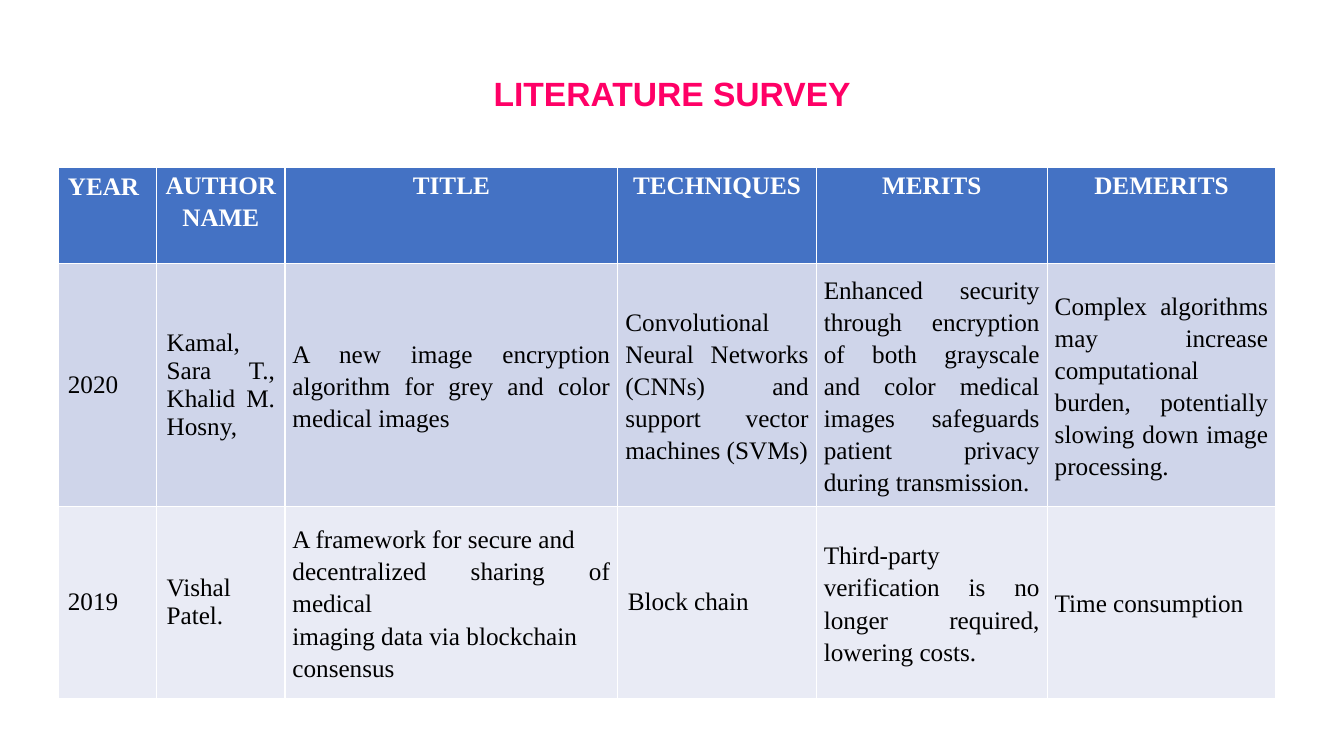
from dataclasses import dataclass

from pptx import Presentation
from pptx.dml.color import RGBColor
from pptx.enum.text import MSO_ANCHOR as Anchor, PP_ALIGN as Align
from pptx.slide import Slide
from pptx.table import _Cell as TableCell
from pptx.text.text import _Paragraph as Para
from pptx.util import Cm, Pt


@dataclass(frozen=True)
class Theme:
    title_font: str = "Arial"
    table_font: str = "Times New Roman"
    title_size: int = 24
    table_size: int = 18
    title_color: str = "FF0066"
    header_text: str = "FFFFFF"
    body_text: str = "000000"
    header_fill: str = "4472C4"
    row_fills: tuple[str, ...] = ("CFD5EA", "E9EBF5")


@dataclass(frozen=True)
class Entry:
    """Cell text; a roomy entry has wide margins and single line spacing."""
    text: str
    roomy: bool = False
    space_after: int = 0


@dataclass(frozen=True)
class RowStyle:
    fill: str
    color: str
    bold: bool
    anchor: Anchor
    align: Align
    roomy_align: Align


THEME = Theme()
COLUMN_WIDTHS = (2.49, 3.23, 8.39, 5.0, 5.82, 5.76)
ROW_HEIGHTS = (2.41, 5.81, 4.83)

HEADER = (
    Entry("YEAR", roomy=True),
    *(Entry(name, space_after=10) for name in
      ("AUTHOR NAME", "TITLE", "TECHNIQUES", "MERITS", "DEMERITS")),
)
PAPERS = (
    (
        Entry("2020", roomy=True),
        Entry("Kamal, Sara T., Khalid M. Hosny,", roomy=True),
        Entry("A new image encryption algorithm for grey and color medical images"),
        Entry("Convolutional Neural Networks (CNNs) and support vector machines (SVMs)"),
        Entry("Enhanced security through encryption of both grayscale and color "
              "medical images safeguards patient privacy during transmission."),
        Entry("Complex algorithms may increase computational burden, "
              "potentially slowing down image processing.", space_after=10),
    ),
    (
        Entry("2019", roomy=True),
        Entry("Vishal Patel.", roomy=True),
        Entry("A framework for secure and\ndecentralized sharing of medical\n"
              "imaging data via blockchain\nconsensus"),
        Entry("Block chain", roomy=True),
        Entry("Third-party verification is no longer required, lowering costs."),
        Entry("Time consumption", space_after=10),
    ),
)


def set_font(para: Para, name: str, size: int, color: str, bold: bool) -> None:
    para.font.name = name
    para.font.size = Pt(size)
    para.font.bold = bold
    para.font.color.rgb = RGBColor.from_string(color)


def add_title(slide: Slide, text: str) -> None:
    box = slide.shapes.add_textbox(Cm(5.51), Cm(0.76), Cm(22.86), Cm(3.18))
    frame = box.text_frame
    frame.word_wrap = True
    frame.vertical_anchor = Anchor.MIDDLE
    para = frame.paragraphs[0]
    para.text = text
    para.alignment = Align.CENTER
    set_font(para, THEME.title_font, THEME.title_size, THEME.title_color, True)


def fill_cell(cell: TableCell, entry: Entry, style: RowStyle) -> None:
    cell.fill.solid()
    cell.fill.fore_color.rgb = RGBColor.from_string(style.fill)
    cell.vertical_anchor = style.anchor
    cell.margin_left = cell.margin_right = Cm(0.25 if entry.roomy else 0.19)
    cell.margin_top = cell.margin_bottom = Cm(0.13 if entry.roomy else 0)
    cell.text = entry.text
    for para in cell.text_frame.paragraphs:
        para.alignment = style.roomy_align if entry.roomy else style.align
        para.line_spacing = 1.0 if entry.roomy else 1.15
        para.space_after = Pt(entry.space_after)
        set_font(para, THEME.table_font, THEME.table_size, style.color, style.bold)


def add_survey_table(slide: Slide) -> None:
    table = slide.shapes.add_table(
        len(ROW_HEIGHTS), len(COLUMN_WIDTHS), Cm(1.46), Cm(4.22),
        Cm(sum(COLUMN_WIDTHS)), Cm(sum(ROW_HEIGHTS))).table
    for column, width in zip(table.columns, COLUMN_WIDTHS):
        column.width = Cm(width)

    header_style = RowStyle(THEME.header_fill, THEME.header_text, True,
                            Anchor.TOP, Align.CENTER, Align.LEFT)
    paper_styles = [RowStyle(fill, THEME.body_text, False, Anchor.MIDDLE,
                             Align.JUSTIFY, Align.JUSTIFY)
                    for fill in THEME.row_fills]
    for row, height, entries, style in zip(
            table.rows, ROW_HEIGHTS, (HEADER, *PAPERS), (header_style, *paper_styles)):
        row.height = Cm(height)
        for cell, entry in zip(row.cells, entries):
            fill_cell(cell, entry, style)


def main() -> None:
    deck = Presentation()
    deck.slide_width, deck.slide_height = Cm(33.87), Cm(19.05)
    slide = deck.slides.add_slide(deck.slide_layouts[6])
    add_title(slide, "LITERATURE SURVEY")
    add_survey_table(slide)
    deck.save("out.pptx")


if __name__ == "__main__":
    main()
